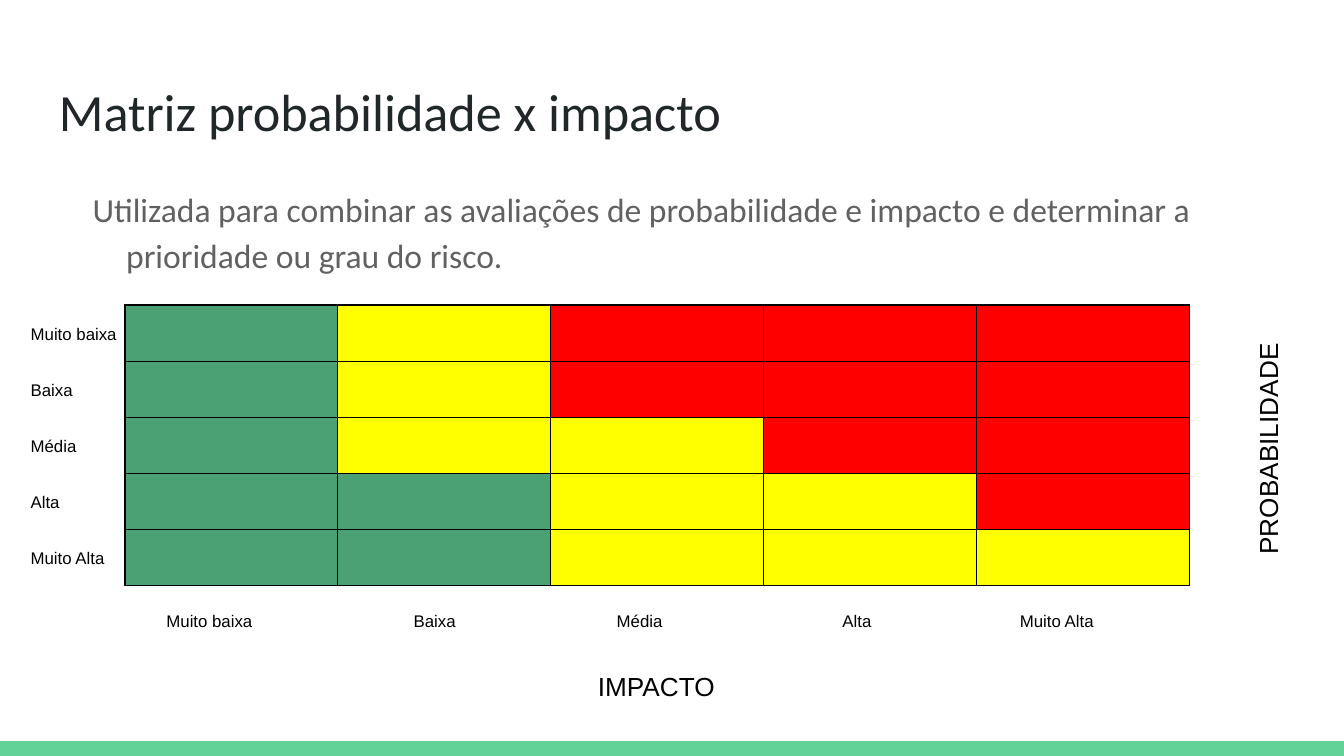
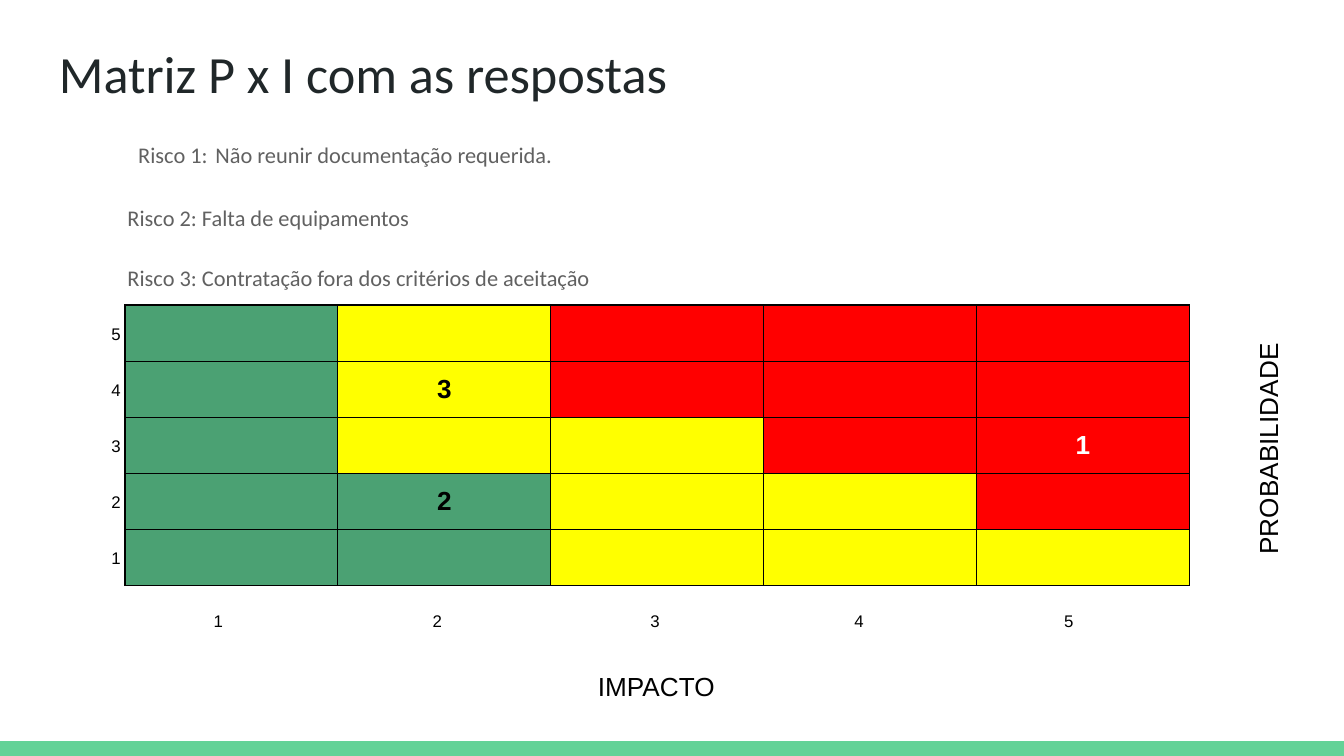
from dataclasses import dataclass

from lxml.etree import SubElement
from pptx import Presentation
from pptx.dml.color import RGBColor
from pptx.enum.shapes import MSO_SHAPE
from pptx.enum.text import MSO_ANCHOR, PP_ALIGN
from pptx.oxml.ns import qn
from pptx.slide import Slide
from pptx.util import Emu, Inches, Pt

COLORS = {
    "white": "FFFFFF",
    "black": "000000",
    "band": "63D297",
    "title": "202729",
    "body": "616161",
    "low": "4BA173",
    "medium": "FFFF00",
    "high": "FF0000",
}

SLIDE_WIDTH = Inches(10)
SLIDE_HEIGHT = Emu(SLIDE_WIDTH * 9 // 16)

# Risk level of each cell: L low, M medium, H high
LEVELS = {"L": "low", "M": "medium", "H": "high"}
MATRIX = ("LMHHH", "LMHHH", "LMMHH", "LLMMH", "LLMMM")
MATRIX_LEFT, MATRIX_TOP = Inches(0.93), Inches(2.27)
MATRIX_WIDTH, MATRIX_HEIGHT = Inches(7.92), Inches(2.09)
COUNT = len(MATRIX)
ROW_HEIGHT = Emu(MATRIX_HEIGHT // COUNT)
COLUMN_WIDTH = Emu(MATRIX_WIDTH // COUNT)
LABEL_HEIGHT = Inches(0.42)
IMPACT_TOP = Inches(4.41)


@dataclass(frozen=True)
class Span:
    text: str
    size: float
    color: str = "black"
    font: str = "Arial"
    bold: bool = False


@dataclass(frozen=True)
class Para:
    spans: tuple[Span, ...]
    indent: float = 0


@dataclass(frozen=True)
class Label:
    text: str
    left: float
    width: float


@dataclass(frozen=True)
class Mark:
    text: str
    row: int
    column: int
    color: str = "black"


@dataclass(frozen=True)
class Page:
    title: str
    title_top: float
    body_left: float
    body_top: float
    body: tuple[Para, ...]
    impact: tuple[Label, ...]
    probability: tuple[Label, ...]
    marks: tuple[Mark, ...] = ()


def rgb(name: str) -> RGBColor:
    return RGBColor.from_string(COLORS[name])


def apply(target, values: dict) -> None:
    for name, value in values.items():
        setattr(target, name, value)


def add_span(paragraph, span: Span) -> None:
    run = paragraph.add_run()
    run.text = span.text
    apply(run.font, {"name": span.font, "size": Pt(span.size), "bold": span.bold})
    run.font.color.rgb = rgb(span.color)


def add_box(slide: Slide, left: int, top: int, width: int, height: int, *spans: Span):
    box = slide.shapes.add_textbox(left, top, width, height)
    margins = dict.fromkeys(
        ("margin_left", "margin_top", "margin_right", "margin_bottom"), Inches(0.1))
    apply(box.text_frame, {"word_wrap": True, **margins})
    for span in spans:
        add_span(box.text_frame.paragraphs[0], span)
    return box


def add_label(slide: Slide, label: Label, top: int) -> None:
    box = add_box(slide, Inches(label.left), top, Inches(label.width), LABEL_HEIGHT,
                  Span(label.text, 9))
    box.text_frame.vertical_anchor = MSO_ANCHOR.MIDDLE


def add_body(slide: Slide, page: Page) -> None:
    frame = add_box(slide, Inches(page.body_left), Inches(page.body_top),
                    Inches(9.32), Inches(3.74)).text_frame
    for number, para in enumerate(page.body):
        paragraph = frame.add_paragraph() if number else frame.paragraphs[0]
        apply(paragraph, {"line_spacing": 1.15, "space_after": Pt(16)})
        properties = paragraph._p.get_or_add_pPr()
        properties.set("marL", str(Inches(0.5)))
        properties.set("indent", str(Inches(para.indent)))
        for span in para.spans:
            add_span(paragraph, span)


def add_borders(cell) -> None:
    properties = cell._tc.get_or_add_tcPr()
    for side in ("a:lnL", "a:lnR", "a:lnT", "a:lnB"):
        line = SubElement(properties, qn(side), w=str(Pt(0.75)))
        fill = SubElement(line, qn("a:solidFill"))
        SubElement(fill, qn("a:srgbClr"), val=COLORS["black"])


def add_matrix(slide: Slide, marks: tuple[Mark, ...]) -> None:
    table = slide.shapes.add_table(
        COUNT, COUNT, MATRIX_LEFT, MATRIX_TOP, MATRIX_WIDTH, MATRIX_HEIGHT).table
    apply(table, {"first_row": False, "horz_banding": False})
    for row in table.rows:
        row.height = ROW_HEIGHT
    for column in table.columns:
        column.width = COLUMN_WIDTH
    marked = {(mark.row, mark.column): mark for mark in marks}
    for row, levels in enumerate(MATRIX):
        for column, level in enumerate(levels):
            cell = table.cell(row, column)
            # Borders come before the fill in the cell properties
            add_borders(cell)
            cell.fill.solid()
            cell.fill.fore_color.rgb = rgb(LEVELS[level])
            apply(cell, {
                "margin_left": Inches(0.1), "margin_right": Inches(0.1),
                "margin_top": Inches(0.09), "margin_bottom": Inches(0.09),
                "vertical_anchor": MSO_ANCHOR.MIDDLE,
            })
            paragraph = cell.text_frame.paragraphs[0]
            mark = marked.get((row, column))
            if mark:
                paragraph.alignment = PP_ALIGN.CENTER
                add_span(paragraph, Span(mark.text, 14, mark.color, bold=True))
            else:
                # A small size keeps empty rows from growing
                SubElement(paragraph._p, qn("a:endParaRPr"), sz="1400")


def add_axes(slide: Slide, page: Page) -> None:
    add_box(slide, Inches(4.35), Inches(4.89), Inches(1.15), LABEL_HEIGHT,
            Span("IMPACTO", 14))
    for label in page.impact:
        add_label(slide, label, IMPACT_TOP)
    axis = add_box(slide, Inches(8.45), Inches(3.04), Inches(1.95), LABEL_HEIGHT,
                   Span("PROBABILIDADE", 14))
    axis.rotation = 270
    for row, label in enumerate(page.probability):
        add_label(slide, label, MATRIX_TOP + row * ROW_HEIGHT)


def add_band(slide: Slide) -> None:
    height = Inches(0.11)
    band = slide.shapes.add_shape(
        MSO_SHAPE.RECTANGLE, 0, SLIDE_HEIGHT - height, SLIDE_WIDTH, height)
    band.shadow.inherit = False
    band.fill.solid()
    band.fill.fore_color.rgb = rgb("band")
    band.line.fill.background()


def add_page(deck, page: Page) -> None:
    slide = deck.slides.add_slide(deck.slide_layouts[6])
    slide.background.fill.solid()
    slide.background.fill.fore_color.rgb = rgb("white")
    add_band(slide)
    add_box(slide, Inches(0.34), Inches(page.title_top), Inches(9.32), Inches(0.63),
            Span(page.title, 28, "title", "Calibri"))
    add_body(slide, page)
    add_matrix(slide, page.marks)
    add_axes(slide, page)


def body_span(text: str, size: float = 12) -> Span:
    return Span(text, size, "body", "Calibri")


PAGES = (
    Page(
        title="Matriz probabilidade x impacto",
        title_top=0.49,
        body_left=0.34,
        body_top=1.26,
        body=(Para((body_span(
            "Utilizada para combinar as avaliações de probabilidade e impacto "
            "e determinar a prioridade ou grau do risco.", 18),), -0.25),),
        impact=(
            Label("Muito baixa", 1.14, 1.27),
            Label("Baixa", 2.98, 0.8),
            Label("Média", 4.49, 0.92),
            Label("Alta", 6.17, 0.72),
            Label("Muito Alta", 7.49, 1.15),
        ),
        probability=(
            Label("Muito baixa", 0.13, 0.92),
            *(Label(text, 0.13, 0.8) for text in ("Baixa", "Média", "Alta", "Muito Alta")),
        ),
    ),
    Page(
        title="Matriz P x I com as respostas",
        title_top=0.21,
        body_left=0.68,
        body_top=0.82,
        body=(
            Para((body_span("Risco 1:"), body_span(" ", 18),
                  body_span("Não reunir documentação requerida.")), -0.25),
            Para((body_span("Risco 2: Falta de equipamentos"),), -0.33),
            Para((body_span("Risco 3: Contratação fora dos critérios de aceitação"),),
                 -0.33),
        ),
        impact=(
            Label("1", 1.49, 0.42),
            Label("2", 3.12, 0.28),
            Label("3", 4.74, 0.28),
            Label("4", 6.26, 0.33),
            Label("5", 7.82, 0.33),
        ),
        probability=(
            Label("5", 0.73, 0.33),
            *(Label(text, 0.73, 0.21) for text in "4321"),
        ),
        marks=(Mark("3", 1, 1), Mark("1", 2, 4, "white"), Mark("2", 3, 1)),
    ),
)


def main() -> None:
    deck = Presentation()
    apply(deck, {"slide_width": SLIDE_WIDTH, "slide_height": SLIDE_HEIGHT})
    for page in PAGES:
        add_page(deck, page)
    deck.save("out.pptx")


if __name__ == "__main__":
    main()
